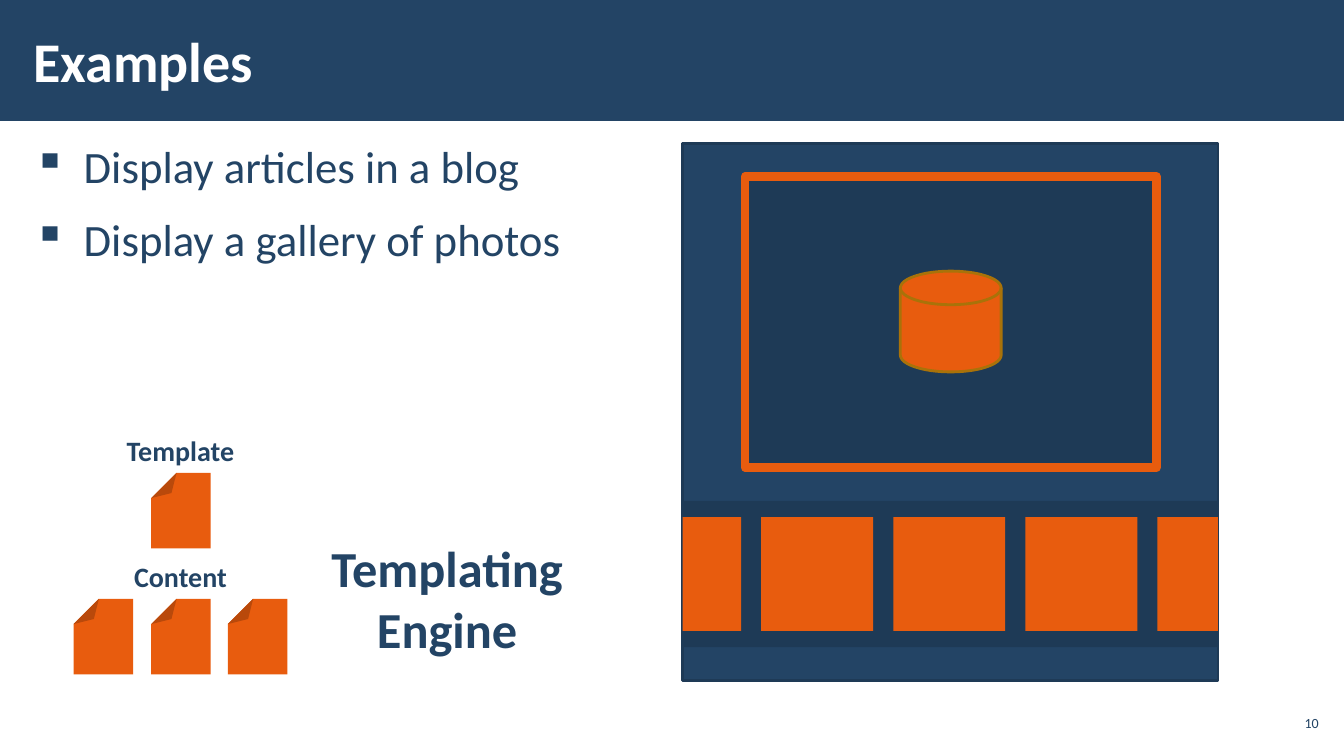
from pptx import Presentation
from pptx.dml.color import RGBColor
from pptx.enum import shapes, text
from pptx.oxml.ns import qn
from pptx.util import Inches, Pt
from lxml import etree

COLORS = {"blue": "234465", "navy": "1E3A56", "orange": "E85C0E",
          "bronze": "A97209", "white": "FFFFFF"}
SHAPE = shapes.MSO_SHAPE
ALIGN = text.PP_ALIGN
ANCHOR = text.MSO_ANCHOR


def rgb(name):
    return RGBColor.from_string(COLORS[name])


def add_shape(s, kind, left, top, width, height, fill, line=None, weight=2):
    sp = s.shapes.add_shape(kind, Inches(left), Inches(top), Inches(width), Inches(height))
    sp.shadow.inherit = False
    sp.fill.solid()
    sp.fill.fore_color.rgb = rgb(fill)
    if line:
        sp.line.color.rgb = rgb(line)
        sp.line.width = Pt(weight)
    else:
        sp.line.fill.background()
    return sp


def add_page(s, left, top):
    """Sheet of paper with its top left corner folded."""
    sp = add_shape(s, SHAPE.FOLDED_CORNER, left, top, 0.59, 0.75, "orange")
    sp.rotation = 180
    # python-pptx lists no adjustment for this preset
    guides = next(sp._element.iter(qn("a:avLst")))
    etree.SubElement(guides, qn("a:gd"), name="adj", fmla="val 42500")


def set_frame(tf, side=0.1, edge=0.05, anchor=ANCHOR.TOP):
    tf.word_wrap = True
    tf.auto_size = text.MSO_AUTO_SIZE.NONE
    tf.margin_left = tf.margin_right = Inches(side)
    tf.margin_top = tf.margin_bottom = Inches(edge)
    tf.vertical_anchor = anchor


def add_run(p, words, size, color="blue", bold=False):
    r = p.add_run()
    r.text = words
    r.font.name = "Calibri"
    r.font.size = Pt(size)
    r.font.bold = bold
    r.font.color.rgb = rgb(color)


def add_box(s, left, top, width, height, **frame):
    box = s.shapes.add_textbox(Inches(left), Inches(top), Inches(width), Inches(height))
    set_frame(box.text_frame, **frame)
    return box.text_frame


def add_label(s, words, left, top, width, height, size, align=ALIGN.CENTER, bold=True, **frame):
    p = add_box(s, left, top, width, height, **frame).paragraphs[0]
    p.alignment = align
    add_run(p, words, size, bold=bold)


def add_title(s, words):
    title = s.shapes.title
    title.left, title.top = Inches(0.21), Inches(0.11)
    title.width, title.height = Inches(10.39), Inches(0.97)
    set_frame(title.text_frame, 0.12, 0.04, ANCHOR.MIDDLE)
    p = title.text_frame.paragraphs[0]
    p.alignment = ALIGN.LEFT
    add_run(p, words, 40, "white", True)


def add_bullets(s, items):
    tf = add_box(s, 0.21, 1.31, 12.92, 5.69, side=0.12, edge=0.04)
    for i, words in enumerate(items):
        p = tf.add_paragraph() if i else tf.paragraphs[0]
        p.line_spacing = 1.05
        p.space_before = Pt(6 if i else 0)
        p.space_after = Pt(6)
        pPr = p._p.get_or_add_pPr()
        pPr.set("marL", str(Inches(0.5)))
        pPr.set("indent", str(Inches(-0.5)))
        etree.SubElement(pPr, qn("a:buChar")).set("char", "▪")
        add_run(p, words, 32)


def add_browser(s):
    """Gallery page: large viewer above a strip of thumbnails."""
    left, width = 6.77, 5.31
    right = left + width
    add_shape(s, SHAPE.RECTANGLE, left, 1.42, width, 5.33, "blue", "navy")
    add_shape(s, SHAPE.RECTANGLE, 7.39, 1.75, 4.08, 2.89, "navy", "orange", 6)
    add_shape(s, SHAPE.FLOWCHART_MAGNETIC_DISK, 8.93, 2.69, 1, 1, "orange", "bronze")
    add_shape(s, SHAPE.RECTANGLE, left, 4.97, width, 1.45, "navy")

    # Thumbnails, the outer two cut off at the page edges
    size, step = 1.11, 1.31
    for i in range(-2, 3):
        start = 8.86 + i * step
        x1, x2 = max(start, left), min(start + size, right)
        add_shape(s, SHAPE.RECTANGLE, x1, 5.13, x2 - x1, 1.13, "orange")


def main():
    prs = Presentation()
    prs.slide_width, prs.slide_height = Inches(13.33), Inches(7.5)
    s = prs.slides.add_slide(prs.slide_layouts[5])

    # Header band, moved behind the title
    band = add_shape(s, SHAPE.RECTANGLE, 0, 0, 13.33, 1.2, "blue")
    s.shapes.title._element.addprevious(band._element)
    add_title(s, "Examples")
    add_bullets(s, ["Display articles in a blog", "Display a gallery of photos"])

    # Template and content pages
    for words, top, lefts in (("Template", 4.25, [1.5]),
                              ("Content", 5.5, [0.73, 1.5, 2.26])):
        add_label(s, words, 1.08, top, 1.42, 0.44, 20)
        for left in lefts:
            add_page(s, left, top + 0.44)
    add_label(s, "Templating Engine", 3.08, 5.28, 2.71, 1.31, 36)

    add_browser(s)

    # Slide number
    add_label(s, "10", 12.65, 7, 0.47, 0.34, 10, ALIGN.RIGHT, False,
              side=0.04, edge=0.04, anchor=ANCHOR.MIDDLE)
    prs.save("out.pptx")


if __name__ == "__main__":
    main()
